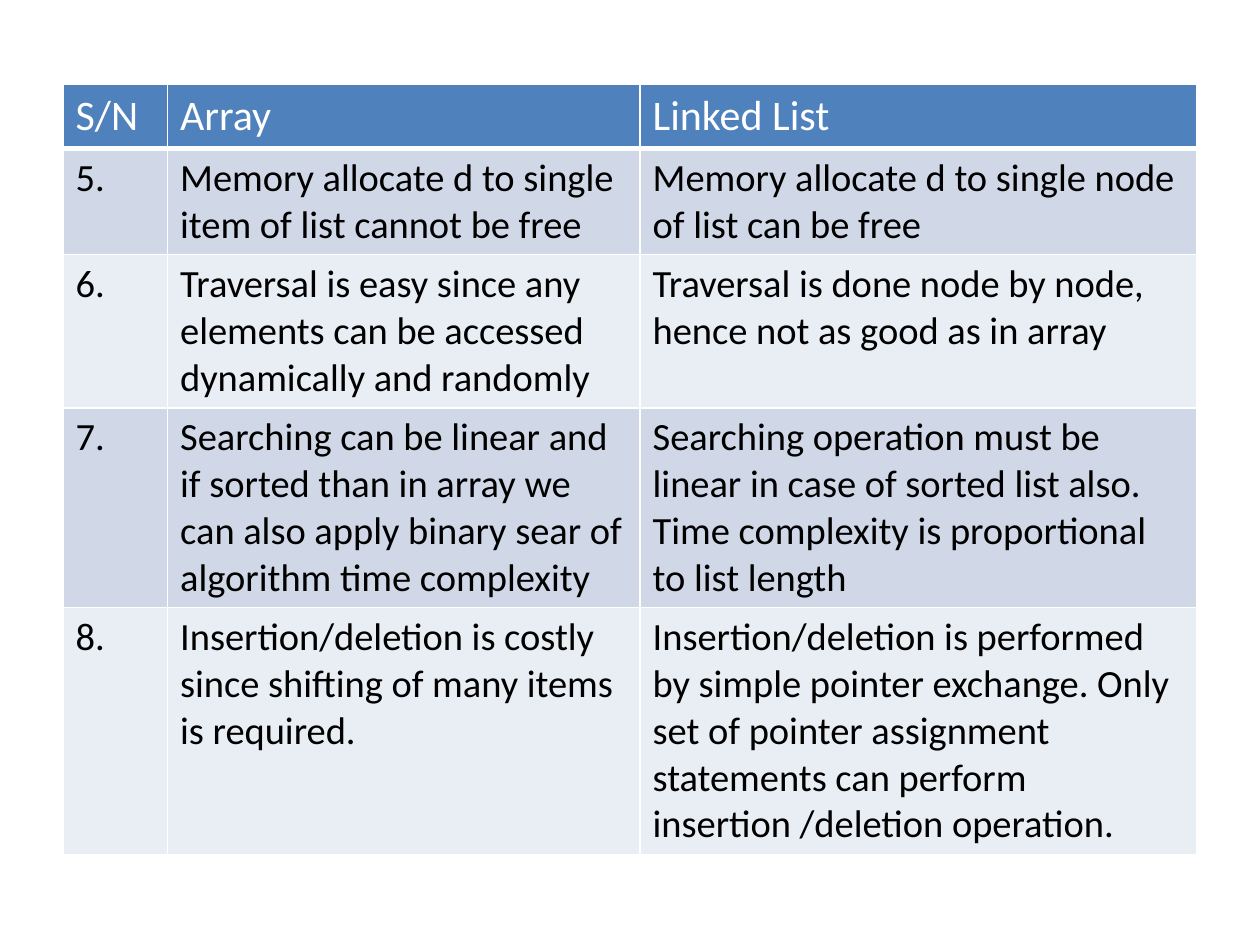
from typing import NamedTuple

from lxml.etree import SubElement
from pptx import Presentation
from pptx.dml.color import RGBColor
from pptx.oxml.ns import qn
from pptx.util import Inches, Pt

WHITE = RGBColor(0xFF, 0xFF, 0xFF)
BLACK = RGBColor(0x00, 0x00, 0x00)
BLUE = RGBColor(0x4F, 0x81, 0xBD)
MIST = RGBColor(0xD0, 0xD8, 0xE8)
PALE = RGBColor(0xE9, 0xED, 0xF4)

WIDTHS = (0.83, 3.75, 4.42)
ROW_HEIGHT = 0.41


class Entry(NamedTuple):
    number: str
    array: str
    linked: str


HEADER = Entry("S/N", "Array", "Linked List")
ENTRIES = (
    Entry(
        "5.",
        "Memory allocate d to single item of list cannot be free",
        "Memory allocate d to single node of list can be free",
    ),
    Entry(
        "6.",
        "Traversal is easy since any elements can be accessed dynamically and randomly",
        "Traversal is done node by node, hence not as good as in array",
    ),
    Entry(
        "7.",
        "Searching can be linear and if sorted than in array we can also apply "
        "binary sear of algorithm time complexity",
        "Searching operation must be linear in case of sorted list also. "
        "Time complexity is proportional to list length",
    ),
    Entry(
        "8.",
        "Insertion/deletion is costly since shifting of many items is required.",
        "Insertion/deletion is performed by simple pointer exchange. Only set of "
        "pointer assignment statements can perform insertion /deletion operation.",
    ),
)


def write(frame, text: str, *, size: int, color: RGBColor, bold: bool = False) -> None:
    run = frame.paragraphs[0].add_run()
    run.text = text
    run.font.name = "Calibri"
    run.font.size = Pt(size)
    run.font.bold = bold
    run.font.color.rgb = color


def edge(cell, base: int) -> None:
    props = cell._tc.get_or_add_tcPr()
    weights = {"a:lnL": 1, "a:lnR": 1, "a:lnT": 1, "a:lnB": base}
    for spot, (tag, weight) in enumerate(weights.items()):
        line = SubElement(props, qn(tag), w=str(Pt(weight)))
        fill = SubElement(line, qn("a:solidFill"))
        SubElement(fill, qn("a:srgbClr"), val=str(WHITE))
        props.insert(spot, line)


def fill_row(table, index: int, entry: Entry, fill: RGBColor,
             color: RGBColor, size: int, base: int = 1) -> None:
    table.rows[index].height = Inches(ROW_HEIGHT)
    for cell, text in zip(table.rows[index].cells, entry):
        cell.fill.solid()
        cell.fill.fore_color.rgb = fill
        edge(cell, base)
        write(cell.text_frame, text, size=size, color=color)


def main() -> None:
    deck = Presentation()
    deck.slide_width = Inches(10)
    deck.slide_height = Inches(7.5)
    slide = deck.slides.add_slide(deck.slide_layouts[6])
    frame = slide.shapes.add_table(
        len(ENTRIES) + 1, len(WIDTHS),
        Inches(0.5), Inches(0.67), Inches(9), Inches(6.03),
    )
    table = frame.table
    for column, width in zip(table.columns, WIDTHS):
        column.width = Inches(width)
    fill_row(table, 0, HEADER, BLUE, WHITE, 24, base=3)
    for index, entry in enumerate(ENTRIES, 1):
        fill_row(table, index, entry, MIST if index % 2 else PALE, BLACK, 22)
    frame.height = Inches(6.03)
    deck.save("out.pptx")


if __name__ == "__main__":
    main()
